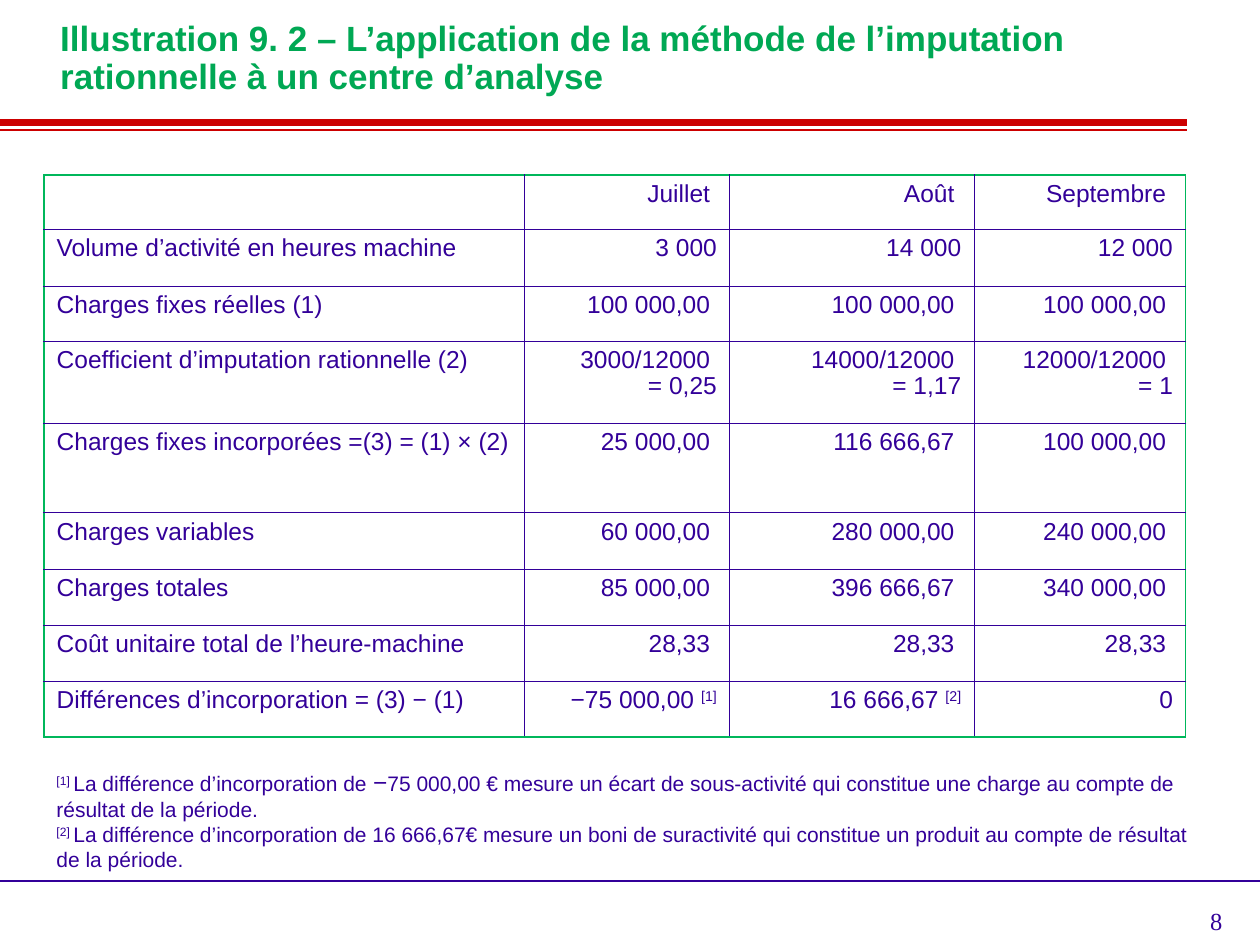
from lxml.etree import SubElement
from pptx import Presentation
from pptx.dml.color import RGBColor
from pptx.enum.shapes import MSO_CONNECTOR
from pptx.enum.text import MSO_ANCHOR, PP_ALIGN
from pptx.oxml.ns import qn
from pptx.util import Inches, Pt

GREEN, BORDER_GREEN, RED, VIOLET = "00A854", "00B75B", "CC0000", "330099"


def color(value):
    return RGBColor.from_string(value)


def write(paragraph, text, size, ink=VIOLET, font="Arial"):
    first, *others = text.split("|")
    paragraph.text = first
    for piece in others:
        paragraph.add_run().text = piece
    for line_break in paragraph._p.findall(qn("a:br")):
        SubElement(line_break, qn("a:rPr"), sz=str(size * 100))
    for run in paragraph.runs:
        run.font.size = Pt(size)
        run.font.name = font
        run.font.color.rgb = color(ink)
        if run.text.startswith("["):
            run._r.get_or_add_rPr().set("baseline", "30000")


presentation = Presentation()
presentation.slide_width = Inches(10)
presentation.slide_height = Inches(7.5)
column = presentation.slide_width / 100
row = presentation.slide_height / 75
slide = presentation.slides.add_slide(presentation.slide_layouts[6])

for end, level, ink, weight in (
    (94.2, 10.3, RED, 1),
    (94.2, 9.7, RED, 4),
    (100, 69.9, VIOLET, 1),
):
    rule = slide.shapes.add_connector(
        MSO_CONNECTOR.STRAIGHT, 0, int(level * row), int(end * column), int(level * row)
    )
    rule.line.color.rgb = color(ink)
    rule.line.width = Pt(weight)
    SubElement(rule._element.spPr, qn("a:effectLst"))

text_frames = []
for left, top, width, height, right_inset, bottom_inset, anchor in (
    (74.7, 71.4, 23.3, 5.2, 1, 0.5, MSO_ANCHOR.TOP),
    (-0.4, 2.8, 91.4, 7.1, 1, 3.8, MSO_ANCHOR.MIDDLE),
    (3.5, 60.3, 95.3, 11.4, 3.5, 2.4, MSO_ANCHOR.MIDDLE),
):
    box = slide.shapes.add_textbox(
        int(left * column), int(top * row), int(width * column), int(height * row)
    )
    text_frame = box.text_frame
    text_frame.word_wrap = True
    text_frame.vertical_anchor = anchor
    text_frame.margin_right = int(right_inset * column)
    text_frame.margin_bottom = int(bottom_inset * row)
    text_frames.append(text_frame)
number, title, notes = text_frames

write(number.paragraphs[0], "8", 14, font="Times New Roman")
number.paragraphs[0].alignment = PP_ALIGN.RIGHT

heading = title.paragraphs[0]
write(
    heading,
    "Illustration 9. 2 – L’application de la méthode de l’imputation "
    "rationnelle à un centre d’analyse",
    20,
    GREEN,
)
heading.line_spacing = 0.9
heading.runs[0].font.bold = True
heading._p.get_or_add_pPr().set("marL", str(int(4.2 * column)))

write(
    notes.paragraphs[0],
    "[1] |La différence d’incorporation de |−|75 000,00 € mesure un écart de "
    "sous-activité qui constitue une charge au compte de résultat de la période.",
    12,
)
notes.paragraphs[0].runs[2].font.size = Pt(14)
write(
    notes.add_paragraph(),
    "[2] |La différence d’incorporation de 16 666,67€ mesure un boni de "
    "suractivité qui constitue un produit au compte de résultat de la période.",
    12,
)

costs = (
    ("", "Juillet ", "Août ", "Septembre "),
    ("Volume d’activité en heures machine", "3 000", "14 000", "12 000"),
    ("Charges fixes réelles (1)", "100 000,00 ", "100 000,00 ", "100 000,00 "),
    (
        "Coefficient d’imputation rationnelle (2)",
        "3000/12000 \v= 0,25",
        "14000/12000 \v= 1,17",
        "12000/12000 \v= 1",
    ),
    (
        "Charges fixes incorporées =(3) = (1) × (2)",
        "25 000,00 ",
        "116 666,67 ",
        "100 000,00 ",
    ),
    ("Charges variables", "60 000,00 ", "280 000,00 ", "240 000,00 "),
    ("Charges totales", "85 000,00 ", "396 666,67 ", "340 000,00 "),
    ("Coût unitaire total de l’heure-machine", "28,33 ", "28,33 ", "28,33 "),
    (
        "Différences d’incorporation = (3) − (1)",
        "−75 000,00 |[1]",
        "16 666,67 |[2]",
        "0",
    ),
)
column_shares = (38.1, 16.3, 19.4, 16.8)
row_shares = (4.3, 4.5, 4.4, 6.5, 7.1, 4.5, 4.4, 4.5, 4.4)
last_row, last_column = len(row_shares) - 1, len(column_shares) - 1
table = slide.shapes.add_table(
    len(row_shares),
    len(column_shares),
    int(3.5 * column),
    int(13.9 * row),
    int(sum(column_shares) * column),
    int(sum(row_shares) * row),
).table
table.first_row = False
table.horz_banding = False
for table_column, share in zip(table.columns, column_shares):
    table_column.width = int(share * column)
for table_row, share in zip(table.rows, row_shares):
    table_row.height = int(share * row)

for row_index, entries in enumerate(costs):
    for column_index, entry in enumerate(entries):
        cell = table.cell(row_index, column_index)
        paragraph = cell.text_frame.paragraphs[0]
        write(paragraph, entry, 14)
        paragraph.line_spacing = 0.95
        paragraph.alignment = PP_ALIGN.RIGHT if column_index else PP_ALIGN.LEFT
        properties = cell._tc.get_or_add_tcPr()
        for side, outer in (
            ("L", column_index == 0),
            ("R", column_index == last_column),
            ("T", row_index == 0),
            ("B", row_index == last_row),
        ):
            weight = Pt(1.08) if outer else Pt(0.45)
            border = SubElement(properties, qn("a:ln" + side), w=str(weight))
            fill = SubElement(border, qn("a:solidFill"))
            ink = BORDER_GREEN if outer else VIOLET
            SubElement(fill, qn("a:srgbClr"), val=ink)
        cell.fill.background()

presentation.save("out.pptx")
